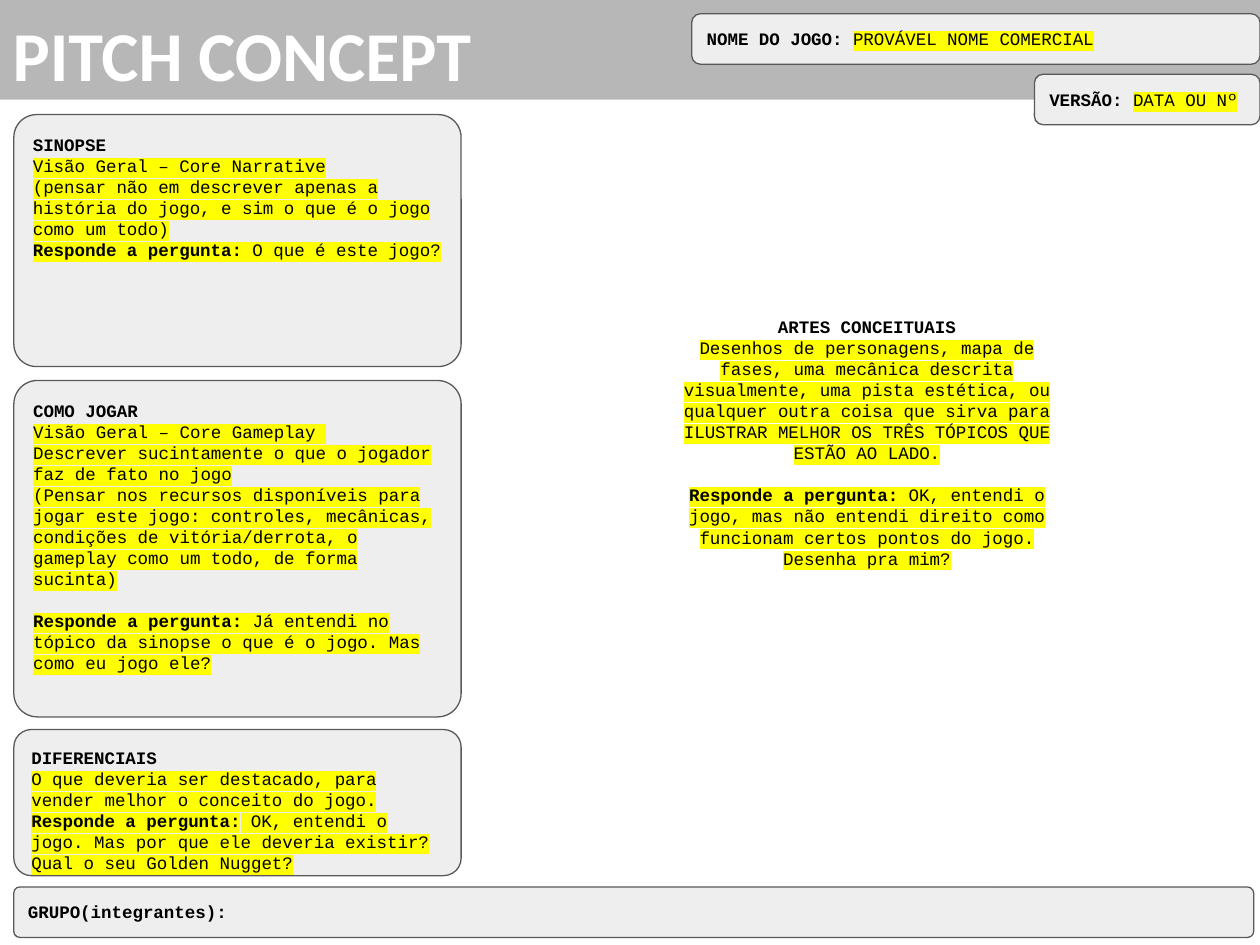
from dataclasses import dataclass
from lxml.etree import Element, SubElement
from pptx import Presentation
from pptx.dml.color import RGBColor
from pptx.enum.shapes import MSO_SHAPE
from pptx.enum.text import MSO_ANCHOR, MSO_AUTO_SIZE, PP_ALIGN
from pptx.oxml.ns import qn
from pptx.util import Inches, Pt


@dataclass(frozen=True)
class Theme:
    """Colours, fonts and type sizes."""
    band: str = "B7B7B7"
    panel: str = "EEEEEE"
    edge: str = "595959"
    ink: str = "000000"
    light: str = "FFFFFF"
    mark: str = "FFFF00"
    head: str = "Calibri"
    mono: str = "Courier New"
    big: int = 40
    small: int = 10
    gap: int = 12


def put(item, values):
    """Set each attribute of item named in values."""
    for name, value in values.items():
        setattr(item, name, value)


def box(x, y, w, h):
    """Return a place in inches as a dict of lengths."""
    return dict(zip(("left", "top", "width", "height"), map(Inches, (x, y, w, h))))


def block(head, lines, answer, gap=False):
    """Return heading, marked lines and the answered question as paragraphs."""
    body = [(False, [(line, False, True)]) for line in lines]
    ask = [("Responde a pergunta:", True, True), (" " + answer, False, True)]
    return [(False, [(head, True, False)]), *body, (gap, ask)]


def label(name, value=""):
    """Return a one-line field with a bold name and a marked value."""
    runs = [(name, True, False)]
    if value:
        runs.append((value, False, True))
    return [(False, runs)]


class Page:
    """Style and current slide."""

    def __init__(self, deck, theme):
        """Add a title-only slide to the deck."""
        self.theme = theme
        self.slide = deck.slides.add_slide(deck.slide_layouts[5])

    def frame(self, shape, anchor=MSO_ANCHOR.TOP):
        """Format the text frame of a shape and return it."""
        text = shape.text_frame
        sides = ("left", "top", "right", "bottom")
        put(text, {f"margin_{side}": Inches(0.1) for side in sides})
        put(text, {"word_wrap": True, "auto_size": MSO_AUTO_SIZE.NONE,
                   "vertical_anchor": anchor})
        return text

    def run(self, para, words, bold, mark, face, size, color):
        """Add one run of text, highlighted when marked."""
        run = para.add_run()
        run.text = words
        put(run.font, {"name": face, "size": Pt(size), "bold": bold})
        run.font.color.rgb = RGBColor.from_string(color)
        if mark:
            light = Element(qn("a:highlight"))
            SubElement(light, qn("a:srgbClr"), val=self.theme.mark)
            run.font._element.find(qn("a:solidFill")).addnext(light)

    def fill(self, text, paras, align=PP_ALIGN.LEFT):
        """Fill a text frame with paragraphs of runs."""
        look = self.theme
        for i, (gap, runs) in enumerate(paras):
            para = text.add_paragraph() if i else text.paragraphs[0]
            put(para, {"alignment": align, "space_before": Pt(look.gap if gap else 0)})
            for words, bold, mark in runs:
                self.run(para, words, bold, mark, look.mono, look.small, look.ink)

    def title(self, words, place):
        """Turn the title placeholder into the top band."""
        look, shape = self.theme, self.slide.shapes.title
        put(shape, place)
        shape.fill.solid()
        shape.fill.fore_color.rgb = RGBColor.from_string(look.band)
        para = self.frame(shape).paragraphs[0]
        para.alignment = PP_ALIGN.LEFT
        self.run(para, words, True, False, look.head, look.big, look.light)

    def panel(self, place, bend, paras, anchor=MSO_ANCHOR.TOP):
        """Add a rounded panel with text."""
        look = self.theme
        shape = self.slide.shapes.add_shape(MSO_SHAPE.ROUNDED_RECTANGLE, **place)
        shape.adjustments[0] = bend
        shape.shadow.inherit = False
        shape.fill.solid()
        shape.fill.fore_color.rgb = RGBColor.from_string(look.panel)
        shape.line.color.rgb = RGBColor.from_string(look.edge)
        shape.line.width = Pt(0.75)
        self.fill(self.frame(shape, anchor), paras)

    def note(self, place, paras):
        """Add a centred text box."""
        shape = self.slide.shapes.add_textbox(**place)
        self.fill(self.frame(shape), paras, PP_ALIGN.CENTER)


CARDS = [
    (0.91, 2, 0.09, block(
        "SINOPSE",
        ["Visão Geral – Core Narrative",
         "(pensar não em descrever apenas a história do jogo, "
         "e sim o que é o jogo como um todo)"],
        "O que é este jogo?")),
    (3.02, 2.67, 0.07, block(
        "COMO JOGAR",
        ["Visão Geral – Core Gameplay ",
         "Descrever sucintamente o que o jogador faz de fato no jogo",
         "(Pensar nos recursos disponíveis para jogar este jogo: controles, "
         "mecânicas, condições de vitória/derrota, o gameplay como um todo, "
         "de forma sucinta)"],
        "Já entendi no tópico da sinopse o que é o jogo. Mas como eu jogo ele?",
        gap=True)),
    (5.79, 1.16, 0.12, block(
        "DIFERENCIAIS",
        ["O que deveria ser destacado, para vender melhor o conceito do jogo."],
        "OK, entendi o jogo. Mas por que ele deveria existir? "
        "Qual o seu Golden Nugget?")),
]

ART = block(
    "ARTES CONCEITUAIS",
    ["Desenhos de personagens, mapa de fases, uma mecânica descrita visualmente, "
     "uma pista estética, ou qualquer outra coisa que sirva para "
     "ILUSTRAR MELHOR OS TRÊS TÓPICOS QUE ESTÃO AO LADO."],
    "OK, entendi o jogo, mas não entendi direito como funcionam "
    "certos pontos do jogo. Desenha pra mim?",
    gap=True)


def main():
    """Build and save the slide."""
    deck = Presentation()
    put(deck, {"slide_width": Inches(10), "slide_height": Inches(7.5)})
    page = Page(deck, Theme())
    page.title("PITCH CONCEPT", box(0, -0.01, 10, 0.8))
    page.panel(box(5.49, 0.11, 4.51, 0.4), 0.17,
               label("NOME DO JOGO: ", "PROVÁVEL NOME COMERCIAL"), MSO_ANCHOR.MIDDLE)
    page.panel(box(8.21, 0.59, 1.79, 0.4), 0.17, label("VERSÃO: ", "DATA OU Nº"))
    for top, high, bend, paras in CARDS:
        page.panel(box(0.11, top, 3.55, high), bend, paras)
    page.note(box(5.24, 2.41, 3.28, 3.28), ART)
    page.panel(box(0.11, 7.04, 9.84, 0.4), 0.12, label("GRUPO(integrantes):"))
    deck.save("out.pptx")


if __name__ == "__main__":
    main()
